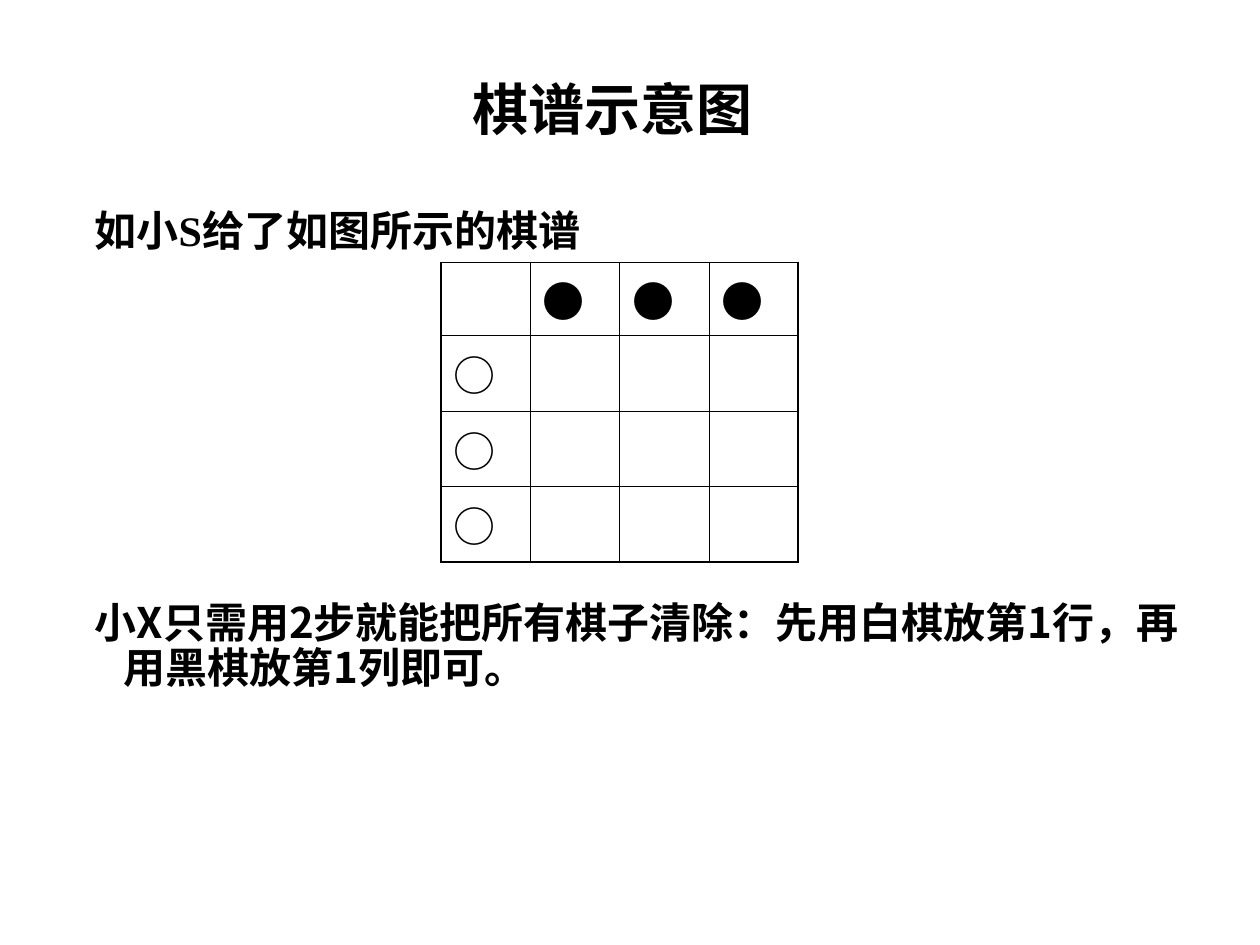
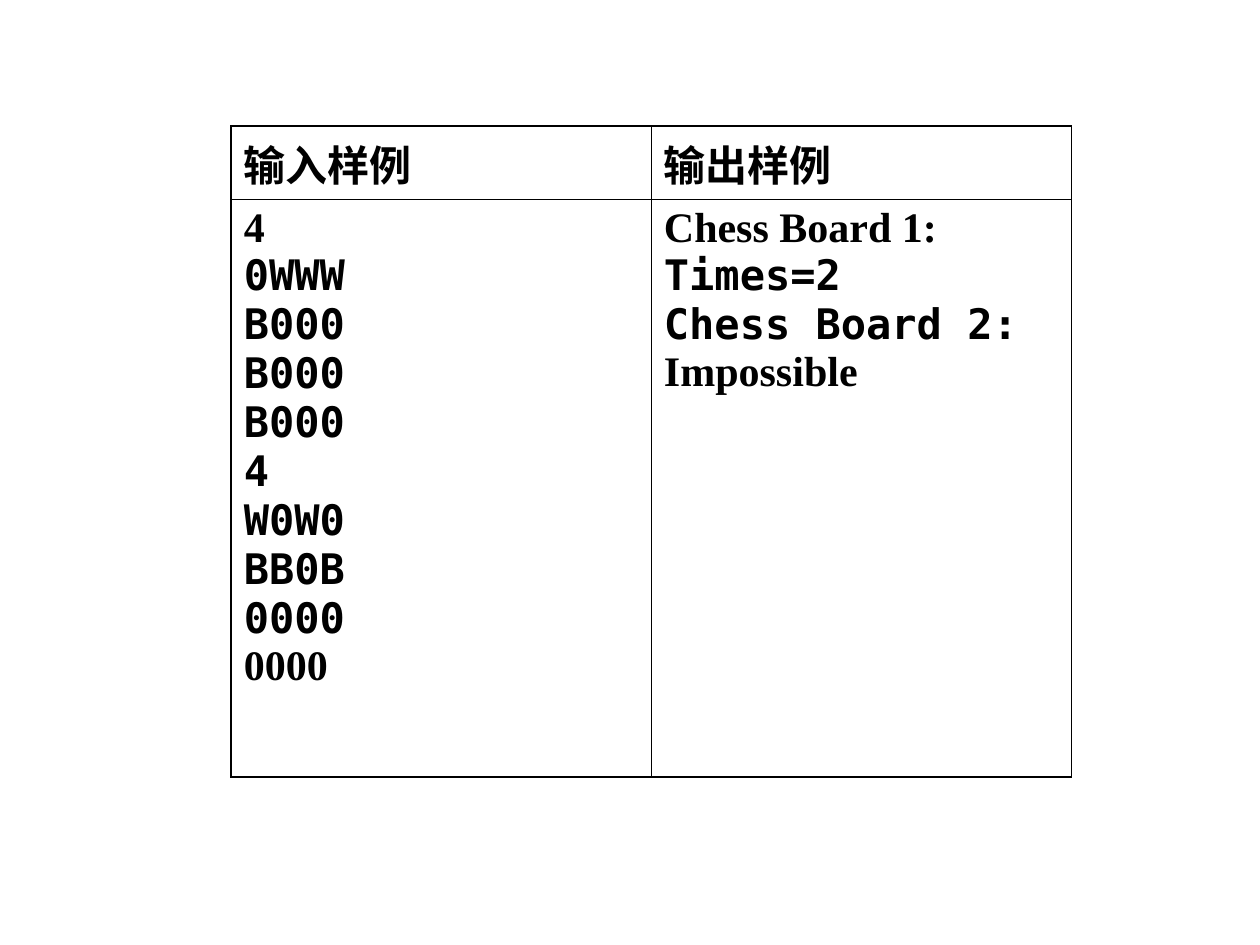
import lxml.etree
import pptx
import pptx.dml.color
import pptx.enum.text
import pptx.oxml.ns
import pptx.util

Cm = pptx.util.Cm
Pt = pptx.util.Pt
BLACK = pptx.dml.color.RGBColor(0, 0, 0)
WHITE = pptx.dml.color.RGBColor(255, 255, 255)
HAN = "Noto Sans CJK SC"
SERIF = "Times New Roman"
MONO = "DejaVu Sans Mono"
MIDDLE = pptx.enum.text.MSO_ANCHOR.MIDDLE
CENTER = pptx.enum.text.PP_ALIGN.CENTER
qn = pptx.oxml.ns.qn


def write(frame, lines, size=24, bold=True, align=None, spacing=None, hanging=False):
    frame.word_wrap = True
    for number, line in enumerate(lines):
        paragraph = frame.add_paragraph() if number else frame.paragraphs[0]
        paragraph.alignment = align
        paragraph.line_spacing = spacing
        if hanging:
            properties = paragraph._p.get_or_add_pPr()
            properties.set("marL", str(Cm(0.97)))
            properties.set("indent", str(Cm(-0.58)))
        for words, typeface in line:
            run = paragraph.add_run()
            run.text = words
            run.font.size = Pt(size)
            run.font.bold = bold
            run.font.color.rgb = BLACK
            run.font.name = typeface
            east_asian = lxml.etree.SubElement(run._r.get_or_add_rPr(), qn("a:ea"))
            east_asian.set("typeface", HAN)


def add_grid(slide, left, top, widths, heights):
    grid = slide.shapes.add_table(
        len(heights), len(widths), Cm(left), Cm(top), Cm(sum(widths)), Cm(sum(heights))
    ).table
    grid.first_row = grid.horz_banding = False
    for column, width in zip(grid.columns, widths):
        column.width = Cm(width)
    for row, height in zip(grid.rows, heights):
        row.height = Cm(height)
    for r in range(len(heights)):
        for c in range(len(widths)):
            cell = grid.cell(r, c)
            outer_edges = {
                "L": c == 0,
                "R": c == len(widths) - 1,
                "T": r == 0,
                "B": r == len(heights) - 1,
            }
            properties = cell._tc.get_or_add_tcPr()
            for side, outer in outer_edges.items():
                border = lxml.etree.SubElement(properties, qn(f"a:ln{side}"))
                border.set("w", str(Pt(1.08 if outer else 0.45)))
                fill = lxml.etree.SubElement(border, qn("a:solidFill"))
                lxml.etree.SubElement(fill, qn("a:srgbClr")).set("val", str(BLACK))
            cell.fill.solid()
            cell.fill.fore_color.rgb = WHITE
    return grid


deck = pptx.Presentation()
deck.slide_width = Cm(25.4)
deck.slide_height = Cm(19.05)
blank = deck.slide_layouts[6]

board_slide = deck.slides.add_slide(blank)
title = board_slide.shapes.add_textbox(Cm(2.16), Cm(1.32), Cm(20.4), Cm(1.7)).text_frame
title.vertical_anchor = MIDDLE
write(title, [[("棋谱示意图", HAN)]], size=32, align=CENTER)

explanations = [
    (4.11, [("如小", HAN), ("S", SERIF), ("给了如图所示的棋谱", HAN)]),
    (12, [("小X只需用2步就能把所有棋子清除：先用白棋放第1行，再用黑棋放第1列即可。", HAN)]),
]
for top, sentence in explanations:
    explanation = board_slide.shapes.add_textbox(Cm(1.27), Cm(top), Cm(23.5), Cm(2.2)).text_frame
    write(explanation, [sentence], spacing=Pt(25.7), hanging=True)

board = add_grid(board_slide, 8.89, 5.29, [1.8] * 4, [1.48] + [1.52] * 3)
for step in range(1, 4):
    for piece, square in [("●", board.cell(0, step)), ("○", board.cell(step, 0))]:
        square.vertical_anchor = MIDDLE
        write(square.text_frame, [[(piece, HAN)]], bold=False)

sample_slide = deck.slides.add_slide(blank)
samples = add_grid(sample_slide, 4.66, 2.54, [8.47] * 2, [1.47, 11.65])
sample_columns = [
    ("输入样例", ["4", "0WWW", "B000", "B000", "B000", "4", "W0W0", "BB0B", "0000", "0000"]),
    ("输出样例", ["Chess Board 1:", "Times=2", "Chess Board 2:", "Impossible"]),
]
for c, (heading, lines) in enumerate(sample_columns):
    write(samples.cell(0, c).text_frame, [[(heading, HAN)]])
    typefaces = [SERIF] + [MONO] * (len(lines) - 2) + [SERIF]
    write(samples.cell(1, c).text_frame, [[pair] for pair in zip(lines, typefaces)])

deck.save("out.pptx")
